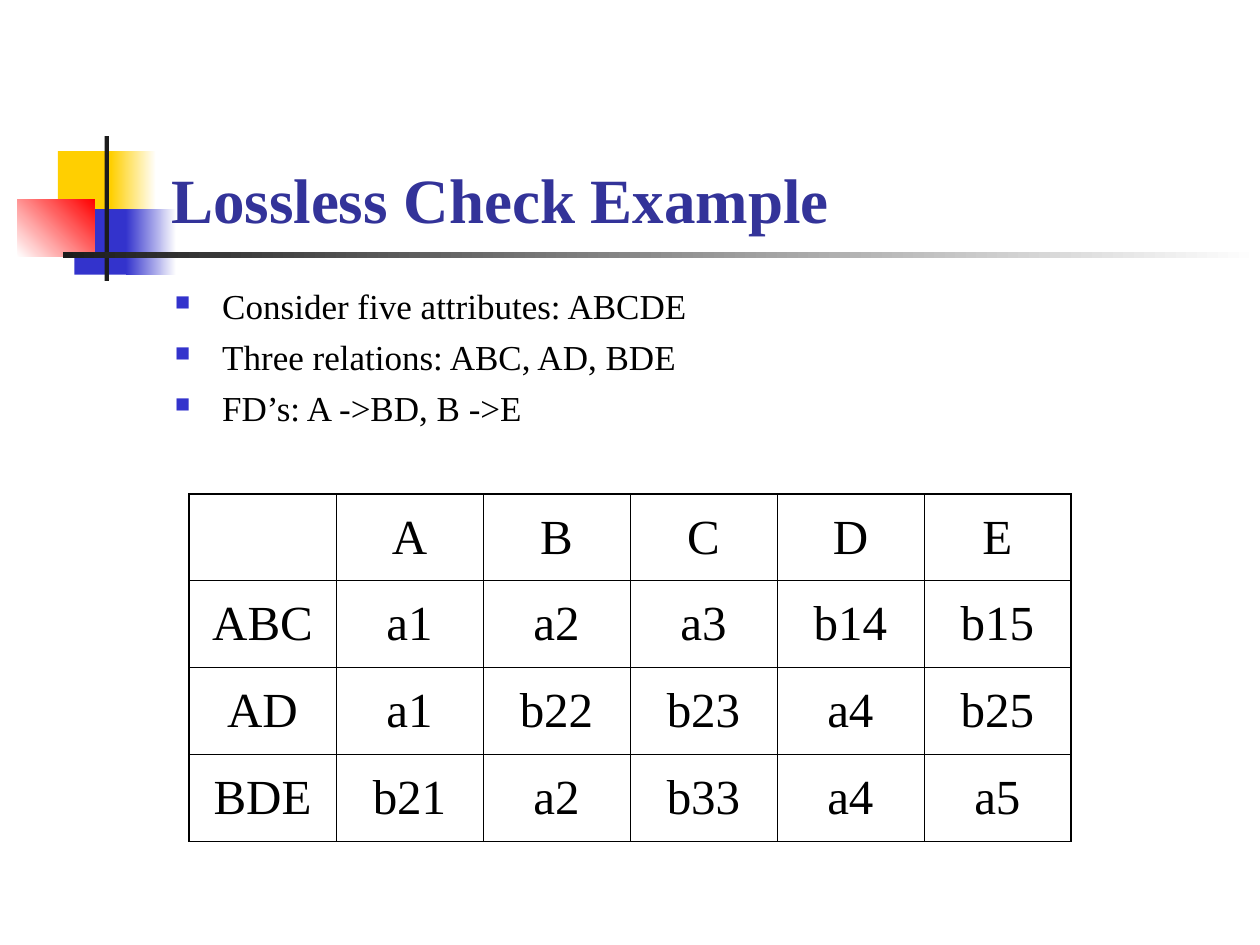
from dataclasses import dataclass

from lxml.etree import SubElement
from pptx import Presentation
from pptx.dml.color import RGBColor
from pptx.enum.shapes import MSO_SHAPE
from pptx.enum.text import MSO_ANCHOR, PP_ALIGN
from pptx.oxml import parse_xml
from pptx.oxml.ns import nsdecls, qn
from pptx.util import Inches, Pt


@dataclass(frozen=True)
class Theme:
    font: str = "Times New Roman"
    yellow: str = "FFCF01"
    blue: str = "3333CC"
    red: str = "FF0000"
    dark: str = "1C1C1C"
    white: str = "FFFFFF"
    black: str = "000000"
    title: str = "333399"
    title_size: int = 36
    body_size: int = 20
    table_size: int = 28
    outer_line: float = 1.08
    inner_line: float = 0.45


theme = Theme()

presentation = Presentation()
presentation.slide_width = Inches(10)
presentation.slide_height = Inches(7.5)
slide = presentation.slides.add_slide(presentation.slide_layouts[6])

# The slide is a grid of 100 columns by 75 rows with square units
unit = presentation.slide_width / 100


def on_grid(*lengths):
    return [round(length * unit) for length in lengths]


def add_run(paragraph, text, size, color, bold=False):
    run = paragraph.add_run()
    run.text = text
    run.font.name = theme.font
    run.font.size = Pt(size)
    run.font.bold = bold
    run.font.color.rgb = RGBColor.from_string(color)


# Decoration: column, row, width, height, start colour, end colour, angle
decoration = [
    (4.6, 12, 4.8, 5.2, theme.yellow, None, 0),
    (8.8, 12, 3.6, 5.2, theme.yellow, theme.white, 0),
    (5.9, 16.6, 4.6, 5.2, theme.blue, None, 0),
    (10, 16.6, 4, 5.2, theme.blue, theme.white, 0),
    (1.4, 15.8, 6.1, 4.6, theme.white, theme.red, 45),
    (8.3, 10.8, 0.35, 11.5, theme.dark, None, 0),
    (5, 20, 95, 0.45, theme.dark, theme.white, 0),
]
for column, row, width, height, start, end, angle in decoration:
    shape = slide.shapes.add_shape(
        MSO_SHAPE.RECTANGLE, *on_grid(column, row, width, height))
    shape.shadow.inherit = False
    shape.line.fill.background()
    if end is None:
        shape.fill.solid()
        shape.fill.fore_color.rgb = RGBColor.from_string(start)
    else:
        shape.fill.gradient()
        shape.fill.gradient_angle = angle
        for stop, color in zip(shape.fill.gradient_stops, (start, end)):
            stop.color.rgb = RGBColor.from_string(color)

# Title
title_frame = slide.shapes.add_textbox(*on_grid(12.6, 6.7, 85.2, 12.5)).text_frame
title_frame.word_wrap = True
title_frame.vertical_anchor = MSO_ANCHOR.BOTTOM
add_run(title_frame.paragraphs[0], "Lossless Check Example",
        theme.title_size, theme.title, bold=True)

# Bulleted list
bullets = [
    "Consider five attributes: ABCDE",
    "Three relations: ABC, AD, BDE",
    "FD’s: A ->BD, B ->E",
]
body_frame = slide.shapes.add_textbox(*on_grid(12.9, 22.1, 76.2, 13.8)).text_frame
body_frame.word_wrap = True
hanging = on_grid(3.75)[0]
for index, text in enumerate(bullets):
    paragraph = body_frame.add_paragraph() if index else body_frame.paragraphs[0]
    paragraph.space_before = Pt(5)
    add_run(paragraph, text, theme.body_size, theme.black)
    properties = paragraph._p.get_or_add_pPr()
    properties.set("marL", str(hanging))
    properties.set("indent", str(-hanging))
    bullet_color = SubElement(properties, qn("a:buClr"))
    SubElement(bullet_color, qn("a:srgbClr"), val=theme.blue)
    SubElement(properties, qn("a:buSzPct"), val="60000")
    SubElement(properties, qn("a:buChar"), char="■")

# Table of attributes by relation
rows = [
    ["", "A", "B", "C", "D", "E"],
    ["ABC", "a1", "a2", "a3", "b14", "b15"],
    ["AD", "a1", "b22", "b23", "a4", "b25"],
    ["BDE", "b21", "a2", "b33", "a4", "a5"],
]
row_count, column_count = len(rows), len(rows[0])
table = slide.shapes.add_table(
    row_count, column_count, *on_grid(15, 39.2, 70, 27.6)).table
table.first_row = False
table.horz_banding = False
for row_index, row in enumerate(rows):
    for column_index, text in enumerate(row):
        cell = table.cell(row_index, column_index)
        cell.fill.background()
        cell.vertical_anchor = MSO_ANCHOR.MIDDLE
        paragraph = cell.text_frame.paragraphs[0]
        paragraph.alignment = PP_ALIGN.CENTER
        paragraph.space_before = Pt(7)
        if text:
            add_run(paragraph, text, theme.table_size, theme.black)

        # Thicker borders on the outside of the table
        outer_sides = {
            "lnL": column_index == 0,
            "lnR": column_index == column_count - 1,
            "lnT": row_index == 0,
            "lnB": row_index == row_count - 1,
        }
        for position, (side, is_outer) in enumerate(outer_sides.items()):
            line_width = Pt(theme.outer_line if is_outer else theme.inner_line)
            border = parse_xml(
                f'<a:{side} {nsdecls("a")} w="{line_width}"><a:solidFill>'
                f'<a:srgbClr val="{theme.black}"/></a:solidFill></a:{side}>')
            cell._tc.get_or_add_tcPr().insert(position, border)

presentation.save("out.pptx")
